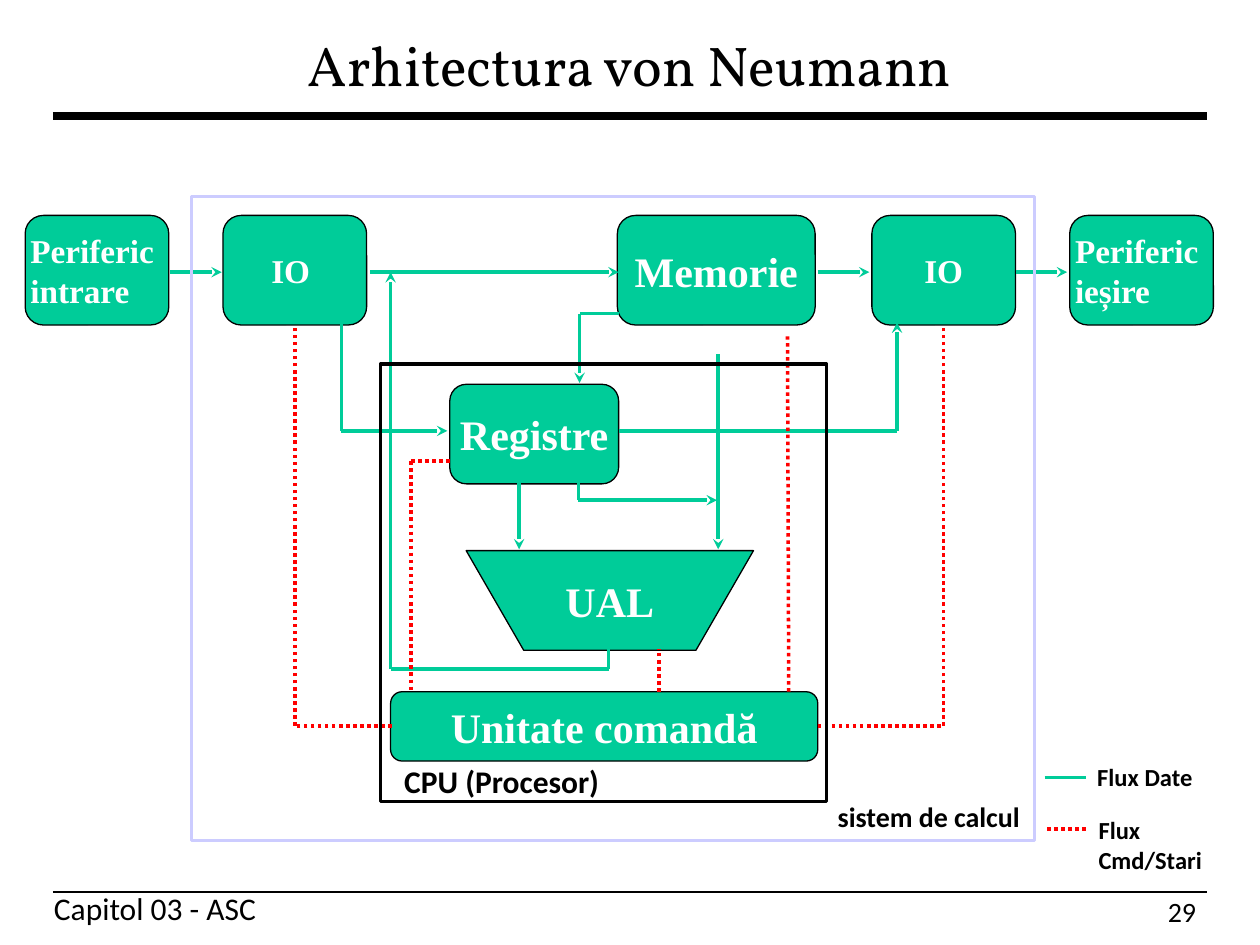
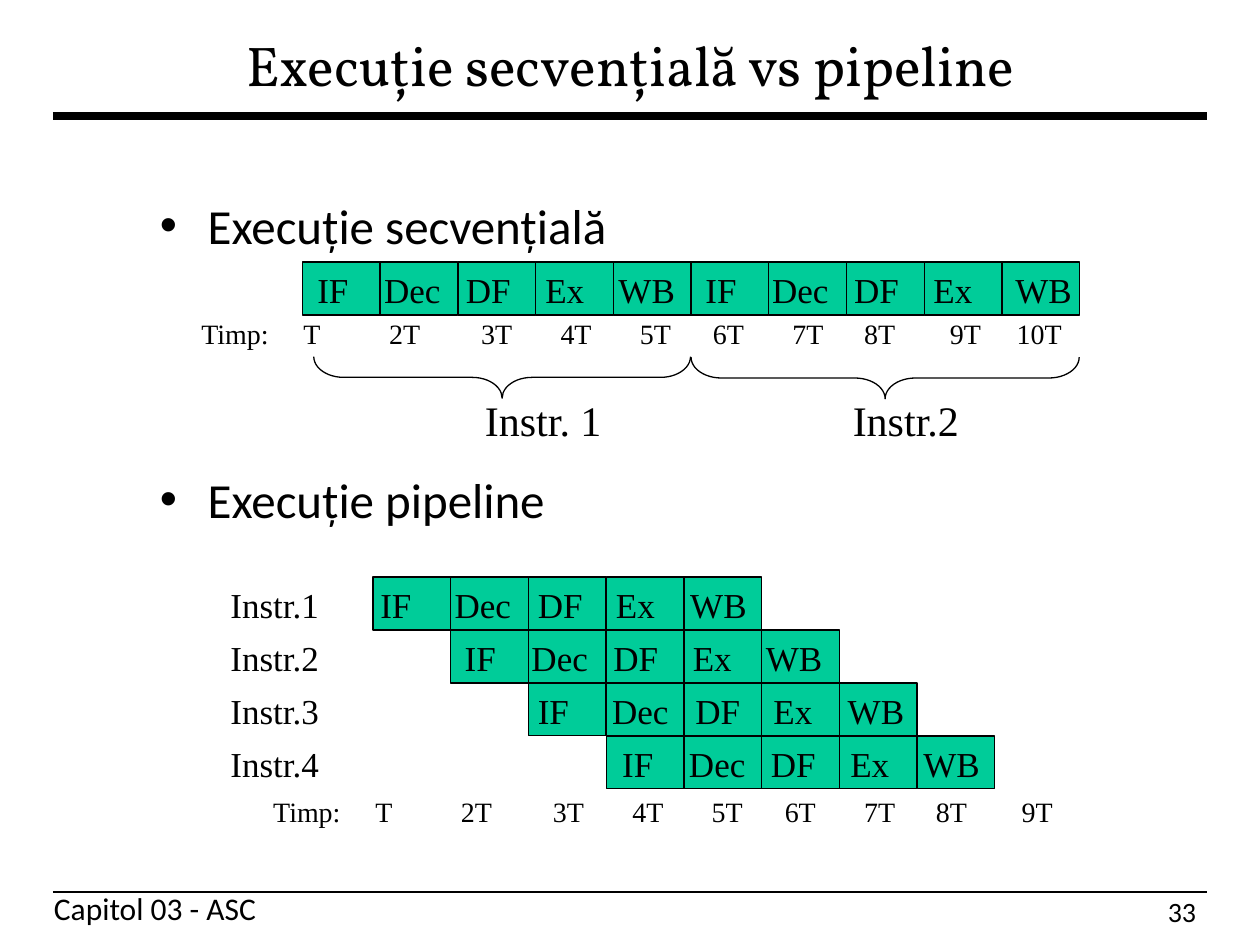
from lxml import etree
from pptx import Presentation
from pptx.dml.color import RGBColor
from pptx.enum.dml import MSO_LINE
from pptx.enum.shapes import MSO_CONNECTOR, MSO_SHAPE
from pptx.enum.text import MSO_ANCHOR, PP_ALIGN
from pptx.oxml.ns import qn
from pptx.util import Inches, Pt

RECT, ROUND = MSO_SHAPE.RECTANGLE, MSO_SHAPE.ROUNDED_RECTANGLE
TRAPEZOID, BRACE = MSO_SHAPE.FLOWCHART_MANUAL_OPERATION, MSO_SHAPE.LEFT_BRACE
STRAIGHT, DOTTED = MSO_CONNECTOR.STRAIGHT, MSO_LINE.ROUND_DOT
LEFT, CENTER = PP_ALIGN.LEFT, PP_ALIGN.CENTER
TOP, MIDDLE = MSO_ANCHOR.TOP, MSO_ANCHOR.MIDDLE

COLORS = {"ink": "000000", "paper": "FFFFFF", "data": "00CC99",
          "control": "FF0000", "system": "CCCCFF"}

# Text formats
TITLE = {"name": "Vollkorn", "size": Pt(32)}
FOOTER = {"name": "Calibri", "size": Pt(18)}
NUMBER = {"name": "Calibri", "size": Pt(16)}
BULLET = {"name": "Calibri", "size": Pt(28)}
UNIT = {"name": "Times New Roman", "size": Pt(24), "bold": True}
PORT = {**UNIT, "size": Pt(19)}
STAGE = {"name": "Times New Roman", "size": Pt(20)}
TIME = {**STAGE, "size": Pt(16)}
INSTR = {**STAGE, "size": Pt(24)}


def label_format(size):
    return {"name": "Calibri", "size": Pt(size), "bold": True}


# Slide 1: units of the machine (shape, box, lines of text, format, alignment)
UNITS = [
    (ROUND, (4.9, 1.71, 1.57, 0.87), ["Memorie"], UNIT, CENTER),
    (ROUND, (3.1, 5.49, 3.39, 0.55), ["Unitate comandă"], UNIT, CENTER),
    (TRAPEZOID, (3.7, 4.37, 2.28, 0.79), ["UAL"], UNIT, CENTER),
    (ROUND, (3.57, 3.05, 1.34, 0.79), ["Registre"], UNIT, CENTER),
    (ROUND, (1.77, 1.71, 1.14, 0.87), ["IO "], PORT, CENTER),
    (ROUND, (0.2, 1.71, 1.14, 0.87), ["Periferic", "intrare"], PORT, LEFT),
    (ROUND, (6.92, 1.71, 1.14, 0.87), ["IO"], PORT, CENTER),
    (ROUND, (8.49, 1.71, 1.14, 0.87), ["Periferic", "ieșire"], PORT, LEFT),
]
DATA_ROUTES = [
    [(1.35, 2.16), (1.76, 2.16)],
    [(2.94, 2.16), (4.91, 2.16)],
    [(6.49, 2.16), (6.9, 2.16)],
    [(8.06, 2.16), (8.47, 2.16)],
    [(2.71, 2.56), (2.71, 3.42), (3.55, 3.42)],
    [(4.83, 5.15), (4.83, 5.31), (3.1, 5.31), (3.1, 2.16)],
    [(4.91, 3.42), (7.12, 3.42), (7.12, 2.56)],
    [(4.59, 3.81), (4.59, 3.97), (5.69, 3.97)],
    [(5.7, 2.81), (5.7, 4.36)],
    [(4.12, 3.81), (4.12, 4.36)],
    [(4.91, 2.49), (4.6, 2.49), (4.6, 3.04)],
]
CONTROL_ROUTES = [
    [(6.49, 5.76), (7.49, 5.76), (7.49, 2.58)],
    [(3.11, 5.76), (2.34, 5.76), (2.34, 2.59)],
    [(6.26, 5.49), (6.25, 2.67)],
    [(3.57, 3.66), (3.26, 3.66), (3.26, 5.49)],
    [(5.23, 5.49), (5.23, 5.15)],
    [(8.31, 6.58), (8.62, 6.58)],
]
DATA_KEY = [(8.29, 6.17), (8.62, 6.17)]
FRAMES = [((3.02, 2.89, 3.54, 3.47), "ink"), ((1.52, 1.56, 6.69, 5.11), "system")]
LABELS = [
    ((8.61, 6, 1.11, 0.33), "Flux Date", 14),
    ((8.62, 6.42, 1.22, 0.57), "Flux Cmd/Stari", 14),
    ((3.11, 6, 3.38, 0.4), "CPU (Procesor)", 18),
    ((6.55, 6.3, 2.04, 0.37), "sistem de calcul", 16),
]

# Slide 2: stages of an instruction on a time axis
STAGES = ["IF", "Dec", "DF", "Ex", "WB"]
CELL_W, CELL_H = 6.17 / 10, 0.42
NARROW, WIDE = (0.53, 1.18, 1.81, 2.39), (0.59, 1.25, 1.87, 2.46)
LAST_WIDE = (0.53, 1.18, 1.81, 2.46)
TIME_TABS = (0.81, 1.49, 2.22, 2.85, 3.48, 4.06, 4.69, 5.26, 5.94, 6.47)
SEQ_X, SEQ_Y, PIPE_X, PIPE_Y = 2.4, 2.08, 2.96, 4.58
SEQUENTIAL = [(2.42, NARROW), (5.5, LAST_WIDE)]  # text left, tab stops
PIPELINE = [(2.92, WIDE), (3.59, NARROW), (4.17, WIDE), (4.84, NARROW)]
TIME_AXES = [((1.5, 2.46, 7.75, 0.37), 10), ((2.07, 6.26, 6.68, 0.37), 9)]
BRACES = [((3.82, 1.5, 0.33, 2.99), 0.72), ((6.86, 1.46, 0.33, 3.08), 0.73)]


def rgb(name):
    return RGBColor.from_string(COLORS[name])


def write(tf, lines, fmt, color="ink", align=LEFT, anchor=TOP, wrap=True):
    tf.word_wrap, tf.vertical_anchor = wrap, anchor
    for i, line in enumerate(lines):
        p = tf.add_paragraph() if i else tf.paragraphs[0]
        p.alignment = align
        r = p.add_run()
        r.text = line
        r.font.color.rgb = rgb(color)
        for key, value in fmt.items():
            setattr(r.font, key, value)


def add_text(s, box, lines, fmt, **layout):
    tf = s.shapes.add_textbox(*map(Inches, box)).text_frame
    write(tf, lines, fmt, **layout)
    return tf


def add_tabbed(s, box, words, fmt, stops):
    """One line of words, each after the first set at a tab stop."""
    p = add_text(s, box, ["\t".join(words)], fmt).paragraphs[0]
    tabs = etree.SubElement(p._p.get_or_add_pPr(), qn("a:tabLst"))
    for stop in stops:
        etree.SubElement(tabs, qn("a:tab"), pos=str(Inches(stop)), algn="l")


def add_shape(s, kind, box, fill=None, line="ink", width=0.75):
    sp = s.shapes.add_shape(kind, *map(Inches, box))
    sp.shadow.inherit = False
    if fill:
        sp.fill.solid()
        sp.fill.fore_color.rgb = rgb(fill)
    else:
        sp.fill.background()
    sp.line.color.rgb, sp.line.width = rgb(line), Pt(width)
    return sp


def add_route(s, points, color, width=2, dash=None, arrow=False):
    """Straight segments through the points, with an arrow at the end."""
    for start, end in zip(points, points[1:]):
        c = s.shapes.add_connector(STRAIGHT, *map(Inches, start + end))
        c.line.color.rgb, c.line.width = rgb(color), Pt(width)
        if dash:
            c.line.dash_style = dash
        spPr = c._element.spPr
        if arrow and end == points[-1]:
            etree.SubElement(spPr.find(qn("a:ln")), qn("a:tailEnd"), type="stealth")
        etree.SubElement(spPr, qn("a:effectLst"))


def add_slide(prs, title, number, title_box):
    s = prs.slides.add_slide(prs.slide_layouts[6])
    add_text(s, (0.33, 7.01, 1.86, 0.4), ["Capitol 03 - ASC"], FOOTER, wrap=False)
    add_text(s, (9.17, 7.05, 0.43, 0.37), [number], NUMBER, wrap=False)
    for y, width in ((0.92, 5), (7.08, 1.5)):
        add_route(s, [(0.42, y), (9.58, y)], "ink", width)
    add_text(s, title_box, [title], TITLE, align=CENTER, anchor=MIDDLE)
    return s


def build_architecture(prs):
    s = add_slide(prs, "Arhitectura von Neumann", "29", (0.69, 0.17, 8.62, 0.67))
    for kind, box, lines, fmt, align in UNITS:
        tf = add_shape(s, kind, box, "data").text_frame
        write(tf, lines, fmt, "paper", align, MIDDLE, wrap=False)
        if kind == ROUND:
            for side in ("left", "top", "right", "bottom"):
                setattr(tf, f"margin_{side}", 0)
    for route in DATA_ROUTES:
        add_route(s, route, "data", arrow=True)
    for route in CONTROL_ROUTES:
        add_route(s, route, "control", dash=DOTTED)
    add_route(s, DATA_KEY, "data")
    for box, color in FRAMES:
        add_shape(s, RECT, box, line=color, width=2)
    for box, text, size in LABELS:
        add_text(s, box, [text], label_format(size))


def add_stages(s, x, y, text_x, stops):
    for i in range(len(STAGES)):
        add_shape(s, RECT, (x + i * CELL_W, y, CELL_W, CELL_H), "data")
    add_tabbed(s, (text_x, y, 3.16, 0.44), STAGES, STAGE, stops)


def build_pipeline(prs):
    s = add_slide(prs, "Execuție secvențială vs pipeline", "33", (0.42, 0.17, 9.17, 0.67))

    # Bulleted headings
    tf = add_text(s, (1.17, 1.5, 8.33, 5.5),
                  ["Execuție secvențială", "Execuție pipeline"], BULLET)
    tf.paragraphs[1].space_before = Pt(123)
    for p in tf.paragraphs:
        pPr = p._p.get_or_add_pPr()
        pPr.set("marL", str(Inches(0.38)))
        pPr.set("indent", str(-Inches(0.38)))
        etree.SubElement(pPr, qn("a:buFont"), typeface="Arial")
        etree.SubElement(pPr, qn("a:buChar"), char="•")

    # Sequential run: one instruction after the other
    for i, (text_x, stops) in enumerate(SEQUENTIAL):
        add_stages(s, SEQ_X + i * len(STAGES) * CELL_W, SEQ_Y, text_x, stops)
    for box, curl in BRACES:
        sp = add_shape(s, BRACE, box)
        sp.rotation = 270
        sp.adjustments[0] = curl
    add_tabbed(s, (3.17, 3.08, 5.5, 0.5), ["", "Instr. 1", "Instr.2"], INSTR, (0.58, 3.5))

    # Pipelined run: each instruction starts one step later
    for i, (text_x, stops) in enumerate(PIPELINE):
        y = PIPE_Y + i * CELL_H
        add_text(s, (1.73, y, 1.41, 0.43), [f"Instr.{i + 1}"], STAGE)
        add_stages(s, PIPE_X + i * CELL_W, y, text_x, stops)

    # Time axes
    for box, count in TIME_AXES:
        ticks = ["T"] + [f"{n}T" for n in range(2, count + 1)]
        add_tabbed(s, box, ["Timp:"] + ticks, TIME, TIME_TABS[:count])


def main():
    prs = Presentation()
    prs.slide_width, prs.slide_height = Inches(10), Inches(7.5)
    build_architecture(prs)
    build_pipeline(prs)
    prs.save("out.pptx")


if __name__ == "__main__":
    main()
